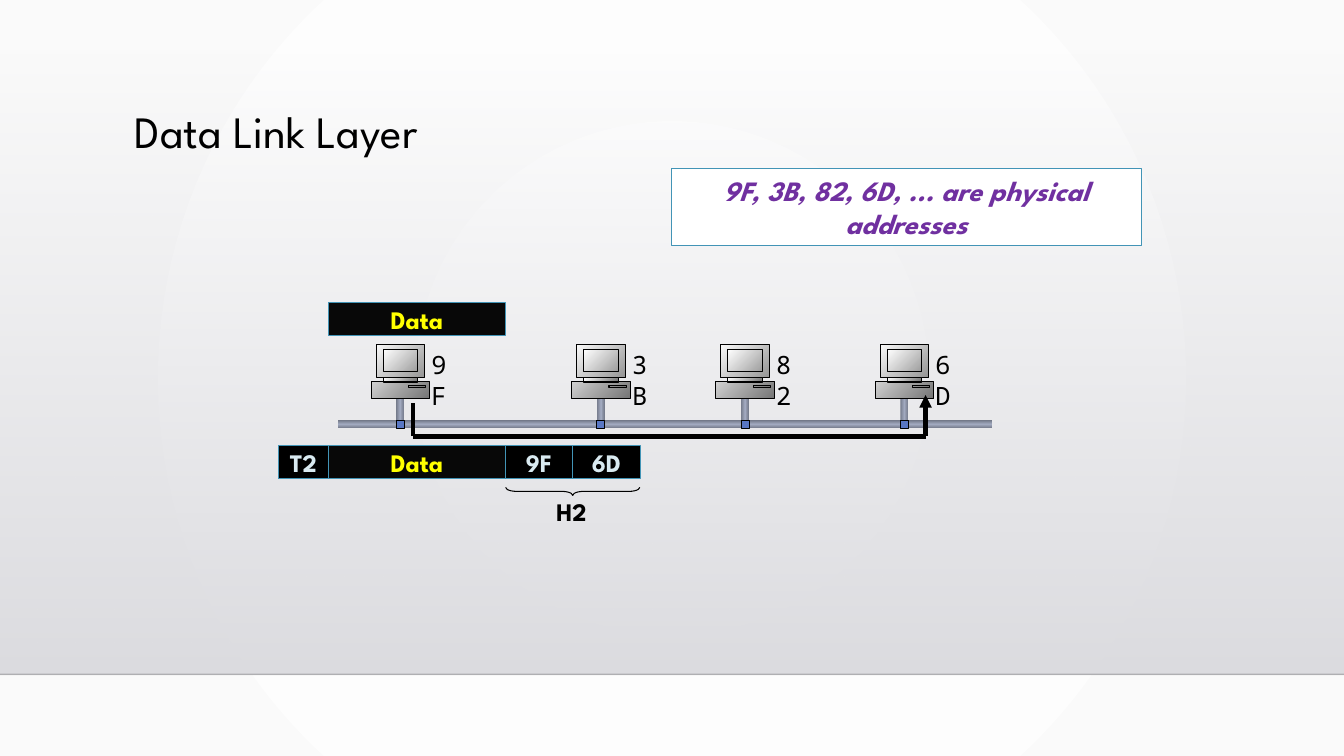
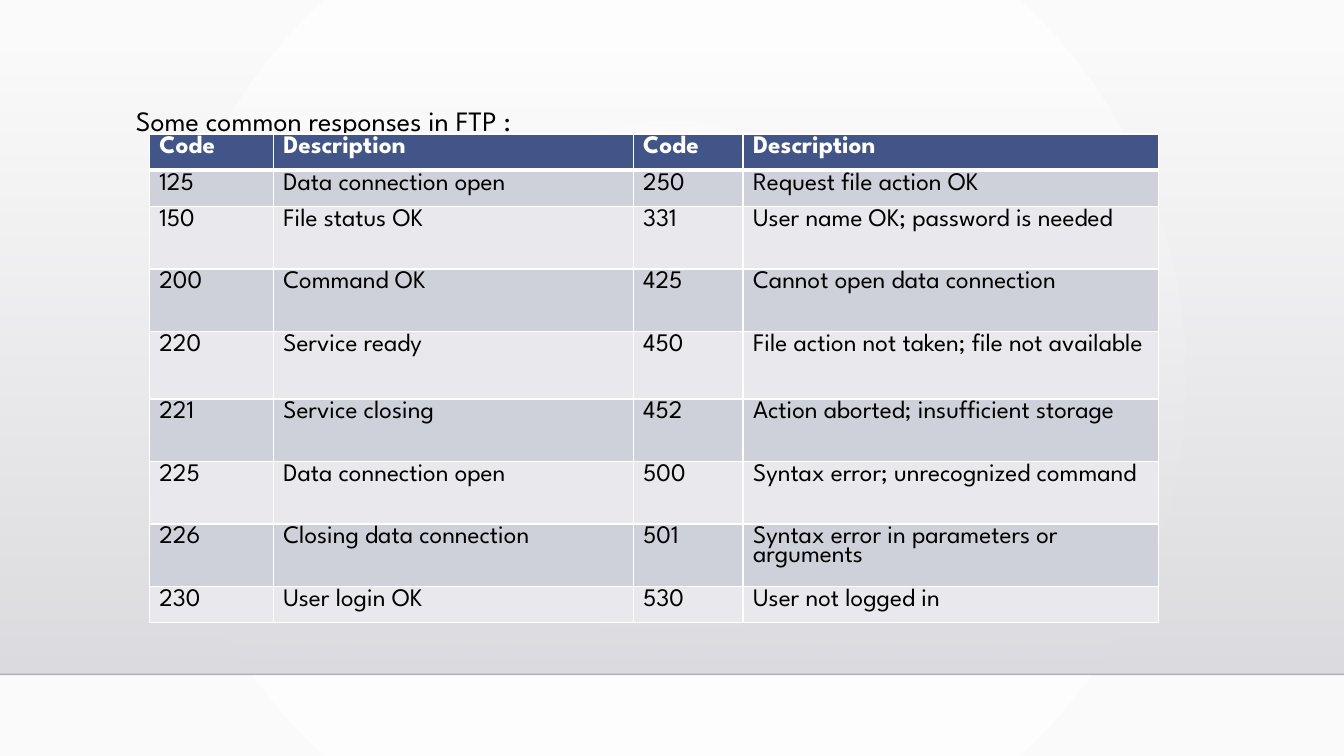
from dataclasses import dataclass
from itertools import accumulate

from pptx import Presentation
from pptx.dml.color import RGBColor
from pptx.enum.shapes import MSO_CONNECTOR, MSO_SHAPE
from pptx.enum.text import MSO_ANCHOR, PP_ALIGN
from pptx.oxml import parse_xml
from pptx.oxml.ns import nsdecls, qn
from pptx.util import Pt

EMU_PER_PX = 9144  # 100 px to the inch


@dataclass(frozen=True)
class Theme:
    font: str = "League Spartan"
    label_font: str = "Noto Sans Mono"
    ink: str = "000000"
    white: str = "FFFFFF"
    purple: str = "7030A0"
    yellow: str = "FFFF00"
    pale: str = "D9EAF1"
    data_fill: str = "080808"
    outline: str = "4294B6"
    node: str = "5977C4"
    rule: str = "000001"
    head_fill: str = "415588"
    row_fills: tuple = ("CFD1DA", "E9E9ED")
    # Gradient stops: position, colour, opacity in percent
    backdrop: tuple = ((0, "FFFFFF", 100), (100, "FAFAFA", 100))
    band: tuple = ((0, "DCDCE0", 0), (100, "DEDEE2", 100))
    cable: tuple = ((0, "737989", 100), (50, "A1A9BF", 100), (100, "737989", 100))
    computer: tuple = ((0, "FFFFFF", 100), (100, "767676", 100))
    title_size: int = 32
    lead_size: int = 20
    text_size: int = 18
    thin: float = 0.75


THEME = Theme()


# ---- Shared helpers ----
def px(*lengths):
    return [round(length * EMU_PER_PX) for length in lengths]


def rgb(colour):
    return RGBColor.from_string(colour)


def set_gradient(fill, owner, stops, angle=None):
    """Linear at an angle in degrees, or circular from the centre."""
    fill.gradient()
    gradient = owner.find(qn("a:gradFill"))
    stop_xml = "".join(
        f'<a:gs pos="{pos * 1000}"><a:srgbClr val="{colour}">'
        f'<a:alpha val="{opacity * 1000}"/></a:srgbClr></a:gs>'
        for pos, colour, opacity in stops)
    if angle is None:
        course = ('<a:path path="circle"><a:fillToRect l="50000" t="50000" '
                  'r="50000" b="50000"/></a:path>')
    else:
        course = f'<a:lin ang="{angle * 60000}" scaled="0"/>'
    owner.replace(gradient, parse_xml(
        f'<a:gradFill {nsdecls("a")} rotWithShape="1">'
        f"<a:gsLst>{stop_xml}</a:gsLst>{course}</a:gradFill>"))


def style(shape, fill=None, gradient=None, angle=0, line=None):
    shape.shadow.inherit = False
    if gradient:
        set_gradient(shape.fill, shape.element.spPr, gradient, angle)
    elif fill:
        shape.fill.solid()
        shape.fill.fore_color.rgb = rgb(fill)
    else:
        shape.fill.background()
    if line:
        shape.line.color.rgb = rgb(line)
        shape.line.width = Pt(THEME.thin)
    else:
        shape.line.fill.background()
    return shape


def add_box(slide, box, kind=MSO_SHAPE.RECTANGLE, **look):
    return style(slide.shapes.add_shape(kind, *px(*box)), **look)


def write(frame, text, size=THEME.text_size, colour=THEME.ink, font=THEME.font,
          bold=False, italic=False, align=PP_ALIGN.LEFT, spacing=None,
          anchor=MSO_ANCHOR.TOP, wrap=True):
    frame.word_wrap = wrap
    frame.vertical_anchor = anchor
    paragraph = frame.paragraphs[0]
    paragraph.alignment = align
    if spacing:
        paragraph.line_spacing = spacing
    run = paragraph.add_run()
    run.text = text
    run.font.name, run.font.size = font, Pt(size)
    run.font.bold, run.font.italic = bold, italic
    run.font.color.rgb = rgb(colour)


def add_text(slide, box, text, **fmt):
    write(slide.shapes.add_textbox(*px(*box)).text_frame, text, **fmt)


def add_line(slide, start, end, colour=THEME.ink, width=3, opacity=None, arrow=False):
    connector = slide.shapes.add_connector(
        MSO_CONNECTOR.STRAIGHT, *px(*start, *end))
    connector.line.color.rgb = rgb(colour)
    connector.line.width = Pt(width)
    properties = connector._element.spPr
    outline = properties.find(qn("a:ln"))
    if opacity:
        outline.find(".//" + qn("a:srgbClr")).append(
            parse_xml(f'<a:alpha {nsdecls("a")} val="{opacity * 1000}"/>'))
    if arrow:
        outline.append(parse_xml(f'<a:tailEnd {nsdecls("a")} type="triangle"/>'))
    properties.append(parse_xml(f'<a:effectLst {nsdecls("a")}/>'))


def new_slide(deck):
    """Blank slide with the backdrop, grey band and floor rule."""
    slide = deck.slides.add_slide(deck.slide_layouts[6])
    fill = slide.background.fill
    fill.solid()
    set_gradient(fill, slide.element.find(".//" + qn("p:bgPr")), THEME.backdrop)
    add_box(slide, (0, 51, 1333, 618), gradient=THEME.band, angle=90)
    add_line(slide, (0, 669), (1333, 669), THEME.rule, 1, opacity=20)
    return slide


# ---- Network diagram ----
def rectangle(left, top, right, bottom):
    return [(left, top), (right, top), (right, bottom), (left, bottom)]


COMPUTER_PARTS = (
    # Case and monitor
    [[(46, 37), (46, 33), (53, 33), (53, 0), (5, 0), (5, 33), (12, 33),
      (12, 37), (0, 37), (0, 53), (58, 53), (58, 37)]],
    # Neck
    [rectangle(12, 33, 46, 37)],
    # Screen and disk slot
    [rectangle(12, 5, 46, 27), rectangle(37, 40, 54, 42)],
)


def draw_computer(slide, left, top):
    for outlines in COMPUTER_PARTS:
        first, *others = outlines
        builder = slide.shapes.build_freeform(*first[0], scale=EMU_PER_PX)
        builder.add_line_segments(first[1:], close=True)
        for outline in others:
            builder.move_to(*outline[0])
            builder.add_line_segments(outline[1:], close=True)
        style(builder.convert_to_shape(*px(left, top)),
              gradient=THEME.computer, angle=45, line=THEME.ink)


def draw_station(slide, box, address):
    left, top, width, height = box
    drop = left + 25
    add_box(slide, (drop, top + 50, 8, height - 50), gradient=THEME.cable)
    add_box(slide, (drop, top + height - 8, 8, 8), fill=THEME.node, line=THEME.ink)
    draw_computer(slide, left, top)
    add_text(slide, (left + width - 8, top, 48, 40), address, font=THEME.label_font)


def draw_network(slide, box):
    left, top, width, height = box
    add_box(slide, (left, top + height - 8, width, 8), gradient=THEME.cable, angle=90)
    for offset, address in ((33, "9F"), (232, "3B"), (375, "82"), (533, "6D")):
        draw_station(slide, (left + offset, top, 58, height), address)
    # Route from sender to receiver
    sender, receiver, floor = left + 75, left + 583, top + 91
    route = [(sender, top + 58), (sender, floor), (receiver, floor), (receiver, top + 50)]
    for index, (start, end) in enumerate(zip(route, route[1:])):
        add_line(slide, start, end, arrow=index == 2)


def draw_field(slide, box, text):
    is_data = text == "Data"
    field = add_box(slide, box, fill=THEME.data_fill if is_data else THEME.ink,
                    line=THEME.outline)
    write(field.text_frame, text, colour=THEME.yellow if is_data else THEME.pale,
          bold=True, align=PP_ALIGN.CENTER, anchor=MSO_ANCHOR.MIDDLE, wrap=False)


def draw_frame(slide, box):
    left, top, width, height = box
    fields = (("T2", 50), ("Data", 175), ("9F", 67), ("6D", 67))
    starts = accumulate((size for _, size in fields), initial=left)
    for (text, size), start in zip(fields, starts):
        draw_field(slide, (start, top, size, height), text)
    # Brace under the two header fields, a left brace turned on its side
    span, depth = 133, 8
    middle = left + width - 67
    brace = add_box(slide, (middle - depth // 2, top + 45 - span // 2, depth, span),
                    MSO_SHAPE.LEFT_BRACE, line=THEME.ink)
    brace.adjustments[0], brace.adjustments[1] = 1.33, 0.5
    brace.rotation = 270
    brace.element.spPr.find(qn("a:xfrm")).set("flipV", "1")
    add_text(slide, (middle - 26, top + 45, 57, 40), "H2", bold=True)


def build_link_layer(deck):
    slide = new_slide(deck)
    add_text(slide, (124, 104, 1050, 115), "Data Link Layer",
             size=THEME.title_size, spacing=0.9)
    note = add_box(slide, (666, 167, 466, 77), fill=THEME.white, line=THEME.outline)
    write(note.text_frame, "9F, 3B, 82, 6D, ... are physical addresses",
          size=THEME.lead_size, colour=THEME.purple, bold=True, italic=True,
          align=PP_ALIGN.CENTER)
    draw_network(slide, (335, 342, 649, 83))
    draw_frame(slide, (276, 442, 359, 33))
    draw_field(slide, (326, 300, 175, 33), "Data")


# ---- Response table ----
COLUMN_WIDTHS = (123, 357, 109, 412)
ROW_HEIGHTS = (36, 36, 62, 62, 67, 62, 62, 62, 36)
RESPONSES = (
    ("Code", "Description", "Code", "Description"),
    ("125", "Data connection open", "250", "Request file action OK"),
    ("150", "File status OK", "331", "User name OK; password is needed"),
    ("200", "Command OK", "425", "Cannot open data connection"),
    ("220", "Service ready", "450", "File action not taken; file not available"),
    ("221", "Service closing", "452", "Action aborted; insufficient storage"),
    ("225", "Data connection open", "500", "Syntax error; unrecognized command"),
    ("226", "Closing data connection", "501", "Syntax error in parameters or arguments"),
    ("230", "User login OK", "530", "User not logged in"),
)


def set_borders(cell, **widths):
    properties = cell._tc.get_or_add_tcPr()
    for index, side in enumerate("LRTB"):
        width = Pt(widths.get(side, 1))
        properties.insert(index, parse_xml(
            f'<a:ln{side} {nsdecls("a")} w="{width}"><a:solidFill>'
            f'<a:srgbClr val="{THEME.white}"/></a:solidFill></a:ln{side}>'))


def draw_responses(slide, box):
    table = slide.shapes.add_table(
        len(RESPONSES), len(COLUMN_WIDTHS), *px(*box)).table
    for column, width in zip(table.columns, px(*COLUMN_WIDTHS)):
        column.width = width
    for row, height in zip(table.rows, px(*ROW_HEIGHTS)):
        row.height = height
    for row_index, responses in enumerate(RESPONSES):
        is_head = row_index == 0
        fill = THEME.head_fill if is_head else THEME.row_fills[(row_index - 1) % 2]
        borders = {0: {"B": 3}, 1: {"T": 3}}.get(row_index, {})
        for column_index, text in enumerate(responses):
            cell = table.cell(row_index, column_index)
            cell.fill.solid()
            cell.fill.fore_color.rgb = rgb(fill)
            set_borders(cell, **borders)
            write(cell.text_frame, text, bold=is_head, spacing=0.8,
                  colour=THEME.white if is_head else THEME.ink)


def build_ftp_responses(deck):
    slide = new_slide(deck)
    add_text(slide, (125, 91, 1050, 486), "Some common responses in FTP :",
             size=THEME.lead_size, spacing=1.2)
    draw_responses(slide, (148, 133, sum(COLUMN_WIDTHS), sum(ROW_HEIGHTS)))


def main():
    deck = Presentation()
    deck.slide_width, deck.slide_height = px(1333, 750)
    build_link_layer(deck)
    build_ftp_responses(deck)
    deck.save("out.pptx")


if __name__ == "__main__":
    main()
